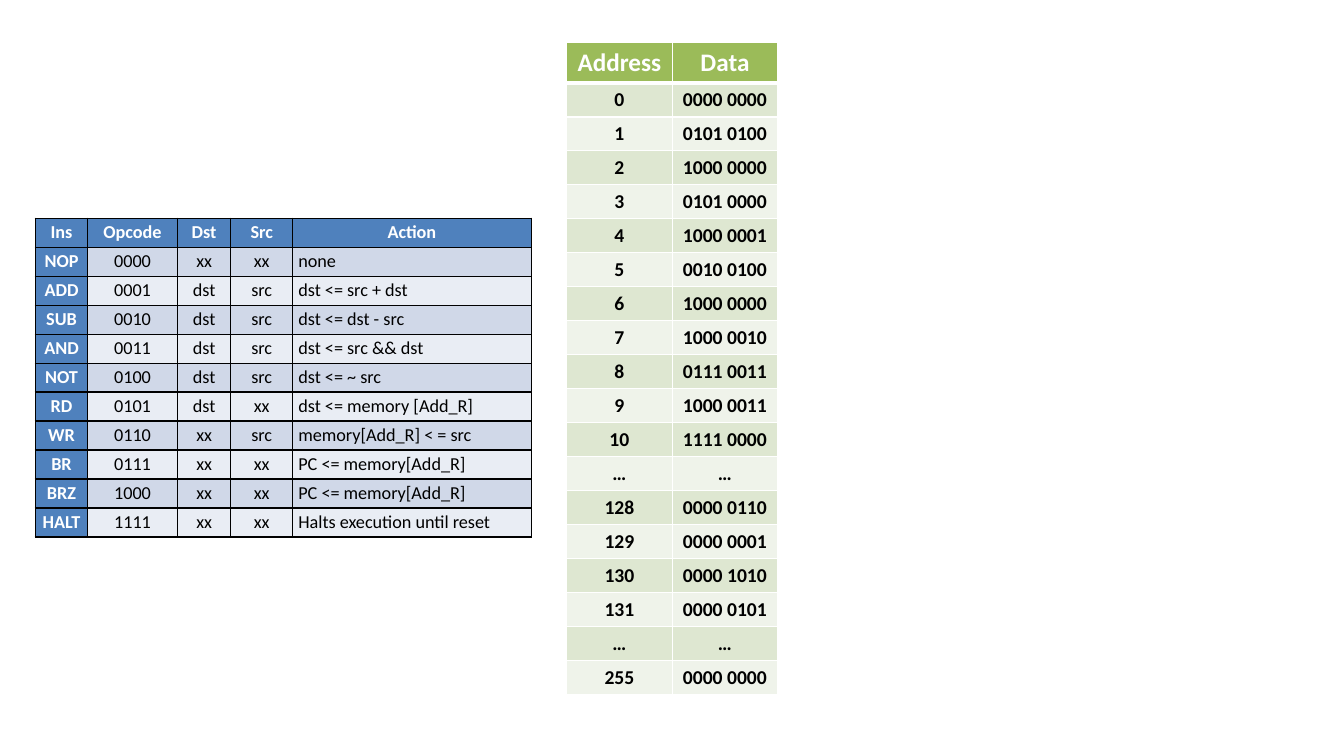
from dataclasses import dataclass

import pptx
import pptx.dml.color
import pptx.enum.text
import pptx.oxml
import pptx.oxml.ns
import pptx.util
from pptx.util import Cm

RGB = pptx.dml.color.RGBColor.from_string
ALIGN = pptx.enum.text.PP_ALIGN
ANCHOR = pptx.enum.text.MSO_ANCHOR


@dataclass(frozen=True)
class Theme:
    font: str = "Calibri"
    white: str = "FFFFFF"
    black: str = "000000"
    blue: str = "4F81BD"
    blue_bands: tuple = ("D0D8E8", "E9EDF4")
    green: str = "9BBB59"
    green_bands: tuple = ("DEE7D1", "EFF3EA")
    instruction_size: int = 13
    memory_head_size: int = 18
    memory_size: int = 14


theme = Theme()


def add_grid(slide, left, top, widths, heights):
    """Add a table with the given column widths and row heights in cm."""
    table = slide.shapes.add_table(len(heights), len(widths), Cm(left), Cm(top),
                                   Cm(sum(widths)), Cm(sum(heights))).table
    for column, width in zip(table.columns, widths):
        column.width = Cm(width)
    for row, height in zip(table.rows, heights):
        row.height = Cm(height)
    return table


def fill_cell(cell, text, size, color, bold, fill, border, align=ALIGN.CENTER, **line_widths):
    """Write and style a cell; line_widths gives sides (L, R, T, B) not 1 pt wide."""
    cell.text = text
    p = cell.text_frame.paragraphs[0]
    p.alignment = align
    p.font.name = theme.font
    p.font.size = pptx.util.Pt(size)
    p.font.bold = bold
    p.font.color.rgb = RGB(color)
    cell.fill.solid()
    cell.fill.fore_color.rgb = RGB(fill)
    props = cell._tc.get_or_add_tcPr()
    for i, side in enumerate("LRTB"):
        width = pptx.util.Pt(line_widths.get(side, 1))
        props.insert(i, pptx.oxml.parse_xml(
            f'<a:ln{side} {pptx.oxml.ns.nsdecls("a")} w="{width}"><a:solidFill>'
            f'<a:srgbClr val="{border}"/></a:solidFill></a:ln{side}>'))


prs = pptx.Presentation()
prs.slide_width, prs.slide_height = Cm(33.87), Cm(19.05)
s = prs.slides.add_slide(prs.slide_layouts[6])

# Memory contents
memory = [
    ("Address", "Data"),
    ("0", "0000 0000"),
    ("1", "0101 0100"),
    ("2", "1000 0000"),
    ("3", "0101 0000"),
    ("4", "1000 0001"),
    ("5", "0010 0100"),
    ("6", "1000 0000"),
    ("7", "1000 0010"),
    ("8", "0111 0011"),
    ("9", "1000 0011"),
    ("10", "1111 0000"),
    ("…", "…"),
    ("128", "0000 0110"),
    ("129", "0000 0001"),
    ("130", "0000 1010"),
    ("131", "0000 0101"),
    ("…", "…"),
    ("255", "0000 0000"),
]
heights = [1] + [0.85] * (len(memory) - 1)
table = add_grid(s, 14.28, 1.06, [2.66] * 2, heights)
for i, row in enumerate(memory):
    for j, text in enumerate(row):
        cell = table.cell(i, j)
        if i == 0:
            fill_cell(cell, text, theme.memory_head_size, theme.white, True,
                      theme.green, theme.white, B=3)
        else:
            fill_cell(cell, text, theme.memory_size, theme.black, True,
                      theme.green_bands[(i - 1) % 2], theme.white, T=3 if i == 1 else 1)

# Instruction set
instructions = [
    ("Ins", "Opcode", "Dst", "Src", "Action"),
    ("NOP", "0000", "xx", "xx", "none"),
    ("ADD", "0001", "dst", "src", "dst <= src + dst"),
    ("SUB", "0010", "dst", "src", "dst <= dst - src"),
    ("AND", "0011", "dst", "src", "dst <= src && dst"),
    ("NOT", "0100", "dst", "src", "dst <= ~ src"),
    ("RD", "0101", "dst", "xx", "dst <= memory [Add_R]"),
    ("WR", "0110", "xx", "src", "memory[Add_R] < = src"),
    ("BR", "0111", "xx", "xx", "PC <= memory[Add_R]"),
    ("BRZ", "1000", "xx", "xx", "PC <= memory[Add_R]"),
    ("HALT", "1111", "xx", "xx", "Halts execution until reset"),
]
table = add_grid(s, 0.89, 5.5, [1.32, 2.26, 1.35, 1.55, 6.02],
                 [0.73] * len(instructions))
for i, row in enumerate(instructions):
    for j, text in enumerate(row):
        cell = table.cell(i, j)
        cell.vertical_anchor = ANCHOR.MIDDLE
        cell.margin_left = cell.margin_right = Cm(0.15)
        cell.margin_top = cell.margin_bottom = 0
        heading = i == 0 or j == 0
        fill_cell(cell, text, theme.instruction_size,
                  theme.white if heading else theme.black, heading,
                  theme.blue if heading else theme.blue_bands[(i - 1) % 2], theme.black,
                  ALIGN.LEFT if j == 4 and not heading else ALIGN.CENTER)

prs.save("out.pptx")
